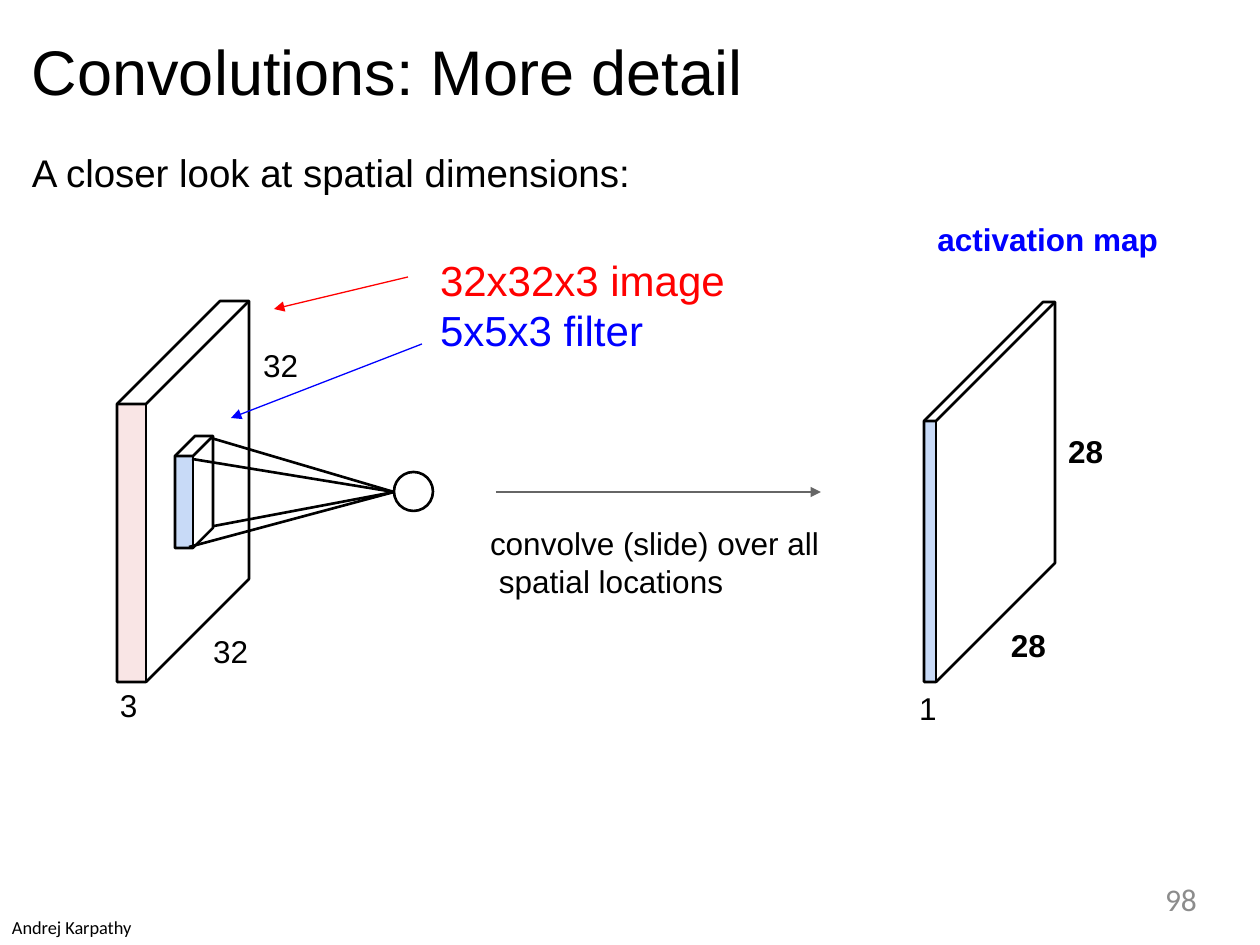
"""Build the slide on the spatial dimensions of a convolution."""
from lxml import etree
from pptx import Presentation
from pptx import util as u
from pptx.dml.color import RGBColor
from pptx.enum import shapes, text
from pptx.oxml.ns import qn

PX = 914400 / 126
BLACK = RGBColor(0x00, 0x00, 0x00)
RED = RGBColor(0xFF, 0x00, 0x00)
BLUE = RGBColor(0x00, 0x00, 0xFF)
GRAY = RGBColor(0x66, 0x66, 0x66)
PAGE_GRAY = RGBColor(0x8C, 0x8C, 0x8C)
PINK = RGBColor(0xF9, 0xE5, 0xE5)
PALE_BLUE = RGBColor(0xC8, 0xDA, 0xF7)
LEFT, RIGHT = text.PP_ALIGN.LEFT, text.PP_ALIGN.RIGHT

# left, top of front face, front width, front height, depth, front fill
CUBOIDS = [
    (117, 404, 29, 278, 103, PINK),
    (175, 456, 18, 92, 20, PALE_BLUE),
    (924, 421, 12, 261, 119, PALE_BLUE),
]
NEURON = (394, 472, 39, 39)
RAY_END = (394, 492)
RAY_STARTS = [(189, 547), (192, 459), (211, 438), (214, 526)]
ARROWS = [
    ((408, 277), (274, 309), RED),
    ((422, 344), (231, 418), BLUE),
    ((496, 492), (821, 492), GRAY),
]

# left, top, width, height, size, bold, font, alignment, line spacing,
# lines of (words, colour, indent)
LABELS = [
    (32, 33, 1198, 73, 36, False, "Arial", LEFT, None,
     [("Convolutions: More detail", BLACK, 0)]),
    (32, 149, 1198, 45, 22, False, "Arial", LEFT, None,
     [("A closer look at spatial dimensions:", BLACK, 0)]),
    (858, 220, 300, 37, 18, True, "Arial", RIGHT, None,
     [("activation map", BLUE, 0)]),
    (440, 255, 400, 100, 24, False, "Arial", LEFT, 28.6,
     [("32x32x3 image", RED, 0), ("5x5x3 filter", BLUE, 0)]),
    (490, 524, 360, 76, 18, False, "Arial", LEFT, 21.7,
     [("convolve (slide) over all", BLACK, 0),
      ("spatial locations", BLACK, 9)]),
    (12, 916, 150, 24, 10.5, False, "Calibri", LEFT, None,
     [("Andrej Karpathy", BLACK, 0)]),
    (907, 880, 290, 38, 18, False, "Calibri", RIGHT, None,
     [("98", PAGE_GRAY, 0)]),
]
SIZES = [
    ("32", 213, 632, False), ("32", 263, 346, False), ("3", 120, 686, False),
    ("1", 919, 689, False), ("28", 1011, 626, True), ("28", 1068, 432, True),
]


def px(*values):
    return [u.Emu(round(v * PX)) for v in values]


def paint(sp, fill=None, line=None):
    sp.shadow.inherit = False
    if fill is None:
        sp.fill.background()
    else:
        sp.fill.solid()
        sp.fill.fore_color.rgb = fill
    if line is None:
        sp.line.fill.background()
    else:
        sp.line.color.rgb = line
        sp.line.width = u.Pt(1.5)


def add_outline(s, points, closed):
    fb = s.shapes.build_freeform(*points[0], scale=PX)
    fb.add_line_segments(points[1:], close=closed)
    paint(fb.convert_to_shape(), line=BLACK)


def add_line(s, start, end, color, width, arrow=False):
    cx = s.shapes.add_connector(shapes.MSO_CONNECTOR.STRAIGHT, *px(*start, *end))
    cx.line.color.rgb = color
    cx.line.width = u.Pt(width)
    if arrow:
        etree.SubElement(cx.line._get_or_add_ln(), qn("a:tailEnd"), type="triangle")
    etree.SubElement(cx._element.spPr, qn("a:effectLst"))


def add_cuboid(s, x, y, w, h, depth, fill):
    face = s.shapes.add_shape(shapes.MSO_SHAPE.RECTANGLE, *px(x, y, w, h))
    paint(face, fill=fill)
    right, bottom = x + w, y + h
    back = (right + depth, y - depth)
    add_outline(s, [(x, y), (x + depth, y - depth), back,
                    (right + depth, bottom - depth), (right, bottom), (x, bottom)], True)
    add_outline(s, [(x, y), (right, y), back], False)
    add_line(s, (right, y), (right, bottom), BLACK, 1.5)


def add_label(s, x, y, w, h, size, bold, font, align, spacing, lines):
    tf = s.shapes.add_textbox(*px(x, y, w, h)).text_frame
    tf.word_wrap = True
    tf.margin_left = tf.margin_top = tf.margin_right = tf.margin_bottom = 0
    for i, (words, color, indent) in enumerate(lines):
        p = tf.add_paragraph() if i else tf.paragraphs[0]
        p.text = words
        p.alignment = align
        if spacing:
            p.line_spacing = u.Pt(spacing)
        if indent:
            p._p.get_or_add_pPr().set("marL", str(px(indent)[0]))
        p.font.name, p.font.size, p.font.bold = font, u.Pt(size), bold
        p.font.color.rgb = color


def main():
    prs = Presentation()
    prs.slide_width, prs.slide_height = px(1260, 945)
    s = prs.slides.add_slide(prs.slide_layouts[6])
    for cuboid in CUBOIDS:
        add_cuboid(s, *cuboid)
    paint(s.shapes.add_shape(shapes.MSO_SHAPE.OVAL, *px(*NEURON)), line=BLACK)
    for start in RAY_STARTS:
        add_line(s, start, RAY_END, BLACK, 1.5)
    for start, end, color in ARROWS:
        add_line(s, start, end, color, 0.75, arrow=True)
    for label in LABELS:
        add_label(s, *label)
    for words, x, y, bold in SIZES:
        add_label(s, x, y, 45, 37, 18, bold, "Arial", LEFT, None, [(words, BLACK, 0)])
    prs.save("out.pptx")


if __name__ == "__main__":
    main()
